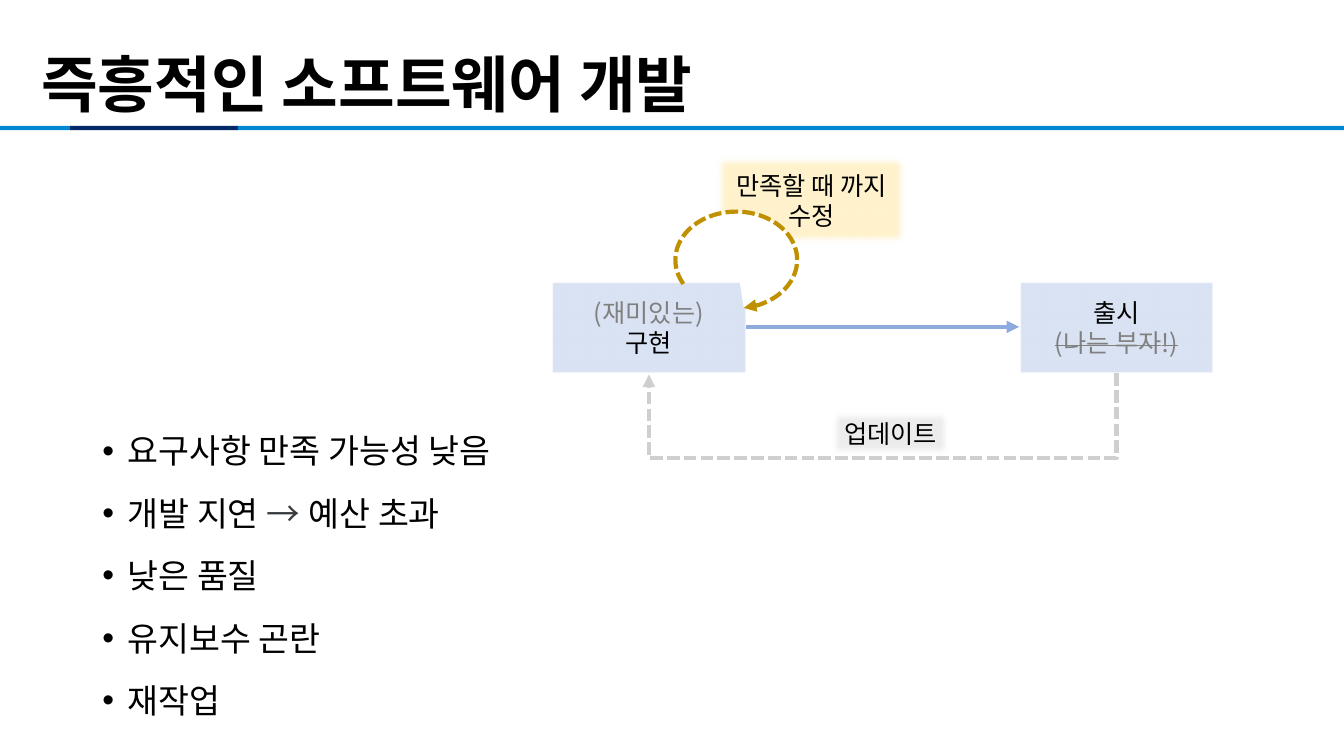
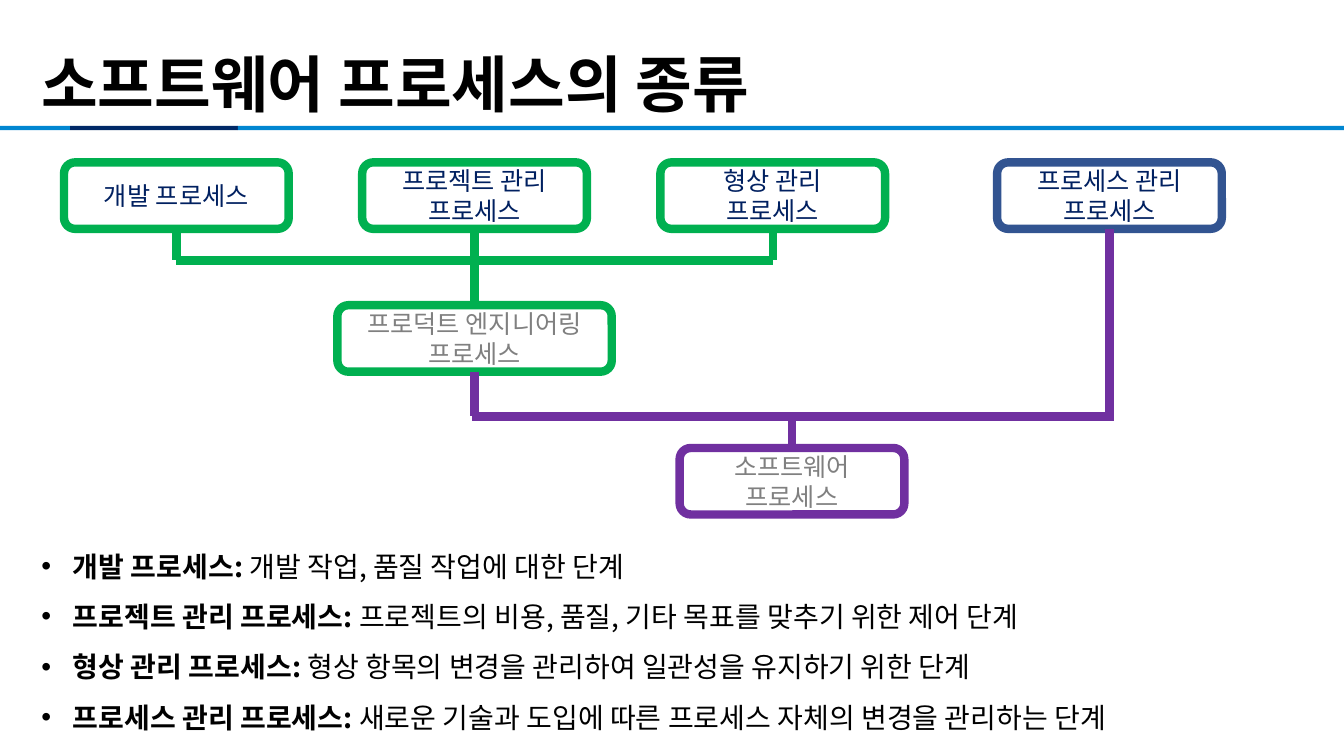
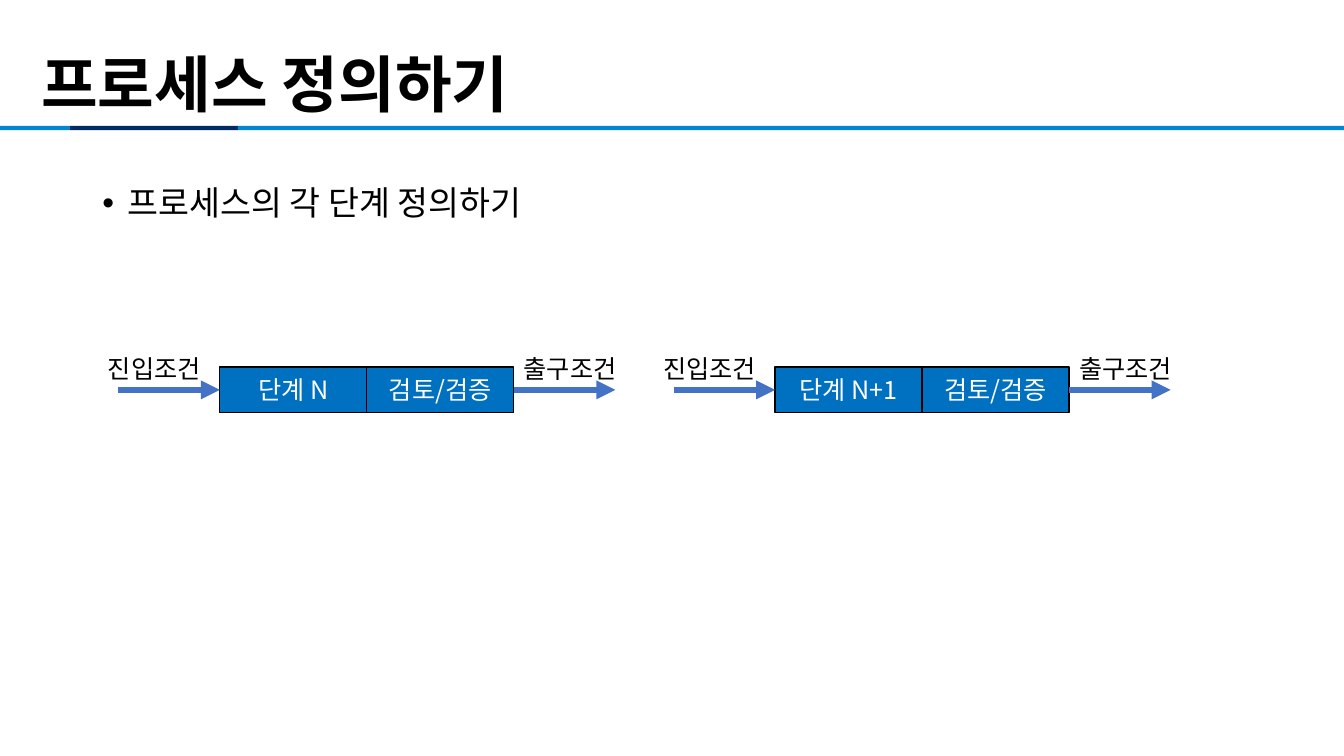
from dataclasses import dataclass

from lxml import etree
from pptx import Presentation
from pptx.dml.color import RGBColor
from pptx.enum import dml, shapes, text
from pptx.oxml import ns
from pptx.util import Pt


@dataclass(frozen=True)
class Theme:
    font: str = "Noto Sans CJK KR"
    sign: str = "Open Sans"
    head: int = 44
    list: int = 24
    note: int = 20
    label: int = 18
    black: str = "000000"
    white: str = "FFFFFF"
    gray: str = "808080"
    slate: str = "373A3C"
    sky: str = "0186D1"
    navy: str = "002967"
    ink: str = "002060"
    pale: str = "DAE3F3"
    steel: str = "8FAADC"
    cream: str = "FFF2CC"
    gold: str = "BF9000"
    mist: str = "EDEDED"
    ash: str = "D0CECE"
    green: str = "00B050"
    blue: str = "325491"
    plum: str = "7030A0"
    step: str = "0070C0"
    arrow: str = "4472C4"


T = Theme()
KIND = shapes.MSO_SHAPE
JOIN = shapes.MSO_CONNECTOR
DASH = dml.MSO_LINE.SQUARE_DOT
MID = text.PP_ALIGN.CENTER

# Text is a list of paragraphs; a paragraph is a list of (text, style) runs.
BAND = [(0, 50, T.sky), (50, 120, T.navy), (170, 790, T.sky)]

RISKS = [
    [("요구사항 만족 가능성 낮음", {})],
    [("개발 지연 ", {}), ("→ ", {"font": T.sign, "color": T.slate}), ("예산 초과", {})],
    [("낮은 품질", {})],
    [("유지보수 곤란", {})],
    [("재작업", {})],
]
BUILD = [[("(재미있는)\n", {"color": T.gray}), ("구현", {})]]
SHIP = [[("출시", {})], [("(나는 부자!)", {"color": T.gray, "strike": True})]]

TOP_ROW = [
    ("개발 프로세스", 126, T.green),
    ("프로젝트 관리\n프로세스", 339, T.green),
    ("형상 관리\n프로세스", 552, T.green),
    ("프로세스 관리\n프로세스", 792.5, T.blue),
]
TERMS = [
    ("개발 프로세스: ", "개발 작업, 품질 작업에 대한 단계"),
    ("프로젝트 관리 프로세스: ", "프로젝트의 비용, 품질, 기타 목표를 맞추기 위한 제어 단계"),
    ("형상 관리 프로세스: ", "형상 항목의 변경을 관리하여 일관성을 유지하기 위한 단계"),
    ("프로세스 관리 프로세스: ", "새로운 기술과 도입에 따른 프로세스 자체의 변경을 관리하는 단계"),
]

STAGES = ["단계 N", "단계 N+1"]
CHECK, ENTRY, EXIT = "검토/검증", "진입조건", "출구조건"


def rgb(code):
    return RGBColor.from_string(code)


def tag(parent, kind, /, **attrs):
    return etree.SubElement(parent, ns.qn(kind), attrs)


def plain(words):
    return [[(words, {})]]


def write(frame, paras, size=T.label, color=T.black, bold=False, align=None,
          lead=None, before=None, hang=None):
    """Fill a text frame run by run; a newline in a run is a line break."""
    for i, runs in enumerate(paras):
        para = frame.paragraphs[0] if i == 0 else frame.add_paragraph()
        para.alignment = align
        if lead:
            para.line_spacing = lead
        if before is not None:
            para.space_before = Pt(before)
        if hang:
            props = para._p.get_or_add_pPr()
            props.set("marL", str(Pt(hang)))
            props.set("indent", str(-Pt(hang)))
            tag(props, "a:buChar", char="•")
        for words, style in runs:
            for n, part in enumerate(words.split("\n")):
                if n:
                    para.add_line_break()
                if not part:
                    continue
                run = para.add_run()
                run.text = part
                face = style.get("font", T.font)
                font = run.font
                font.name, font.size = face, Pt(size)
                font.bold = style.get("bold", bold)
                font.color.rgb = rgb(style.get("color", color))
                props = run._r.get_or_add_rPr()
                tag(props, "a:ea", typeface=face)
                if style.get("strike"):
                    props.set("strike", "sngStrike")


def place(item, x, y, w, h):
    item.left, item.top, item.width, item.height = Pt(x), Pt(y), Pt(w), Pt(h)


def stroke(line, color, width, dash=False, head=False):
    line.color.rgb = rgb(color)
    line.width = Pt(width)
    if dash:
        line.dash_style = DASH
    if head:
        tag(line._get_or_add_ln(), "a:tailEnd", type="triangle")


def block(slide, x, y, w, h, paras=(), fill=None, edge=None, width=1,
          kind=KIND.RECTANGLE, color=T.black, soft=0, dash=False, head=False):
    item = slide.shapes.add_shape(kind, Pt(x), Pt(y), Pt(w), Pt(h))
    item.shadow.inherit = False
    if fill:
        item.fill.solid()
        item.fill.fore_color.rgb = rgb(fill)
    else:
        item.fill.background()
    if edge:
        stroke(item.line, edge, width, dash, head)
    else:
        item.line.fill.background()
    if soft:
        effect = item._element.spPr.find(ns.qn("a:effectLst"))
        tag(effect, "a:softEdge", rad=str(Pt(soft)))
    item.text_frame.vertical_anchor = text.MSO_ANCHOR.MIDDLE
    write(item.text_frame, paras, color=color, align=MID)
    return item


def link(slide, x1, y1, x2, y2, color, width, dash=False, head=False,
         kind=JOIN.STRAIGHT):
    item = slide.shapes.add_connector(kind, Pt(x1), Pt(y1), Pt(x2), Pt(y2))
    stroke(item.line, color, width, dash, head)
    tag(item._element.spPr, "a:effectLst")
    return item


def loop(slide, x1, x2, y, drop, color):
    """Dashed U-shaped arrow from x1 back to x2, hanging below y."""
    mid, half = (x1 + x2) / 2, (x1 - x2) / 2
    item = link(slide, mid - 0.5, y - half, mid + 0.5, y + half, color, 3,
                dash=True, head=True, kind=JOIN.ELBOW)
    props = item._element.spPr
    props.find(ns.qn("a:xfrm")).set("rot", "5400000")
    geom = props.find(ns.qn("a:prstGeom"))
    guides = geom.find(ns.qn("a:avLst"))
    if guides is None:
        guides = tag(geom, "a:avLst")
    tag(guides, "a:gd", name="adj1", fmla=f"val {drop * 100000}")


def band(deck, slide):
    """Draw the title band once and move it to the slide master."""
    tree = deck.slide_master.shapes.element
    for i, (x, w, color) in enumerate(BAND):
        bar = block(slide, x, 90, w, 3, fill=color)
        bar._element.nvSpPr.cNvPr.set("id", str(100 + i))
        tree.append(bar._element)


def start(deck, title, paras, spot, **style):
    """Add a slide with its title and its bulleted list."""
    slide = deck.slides.add_slide(deck.slide_layouts[1])
    head, body = slide.shapes.title, slide.placeholders[1]
    place(head, 22.3, 29, 911, 61)
    place(body, *spot)
    for item, anchor in ((head, text.MSO_ANCHOR.BOTTOM), (body, text.MSO_ANCHOR.TOP)):
        frame = item.text_frame
        frame.word_wrap = True
        frame.auto_size = text.MSO_AUTO_SIZE.NONE
        frame.vertical_anchor = anchor
    write(head.text_frame, plain(title), T.head, bold=True,
          align=text.PP_ALIGN.LEFT, lead=0.9, before=0)
    write(body.text_frame, paras, align=text.PP_ALIGN.LEFT, **style)
    return slide


def adhoc(deck):
    slide = start(deck, "즉흥적인 소프트웨어 개발", RISKS, (66, 298, 868, 224),
                  size=T.list, lead=1.2, before=10, hang=18)
    left, right, top, w, h = 394, 728, 201, 139, 66
    for x, paras in ((left, BUILD), (right, SHIP)):
        block(slide, x, top, w, h, paras, T.pale, soft=1)
    link(slide, left + w, 233.5, right, 233.5, T.steel, 3, head=True)
    block(slide, 510, 110, w, h, plain("만족할 때 까지\n수정"), T.cream, soft=5)
    arc = block(slide, 482.4, 151.2, 87, 69, fill=T.white, edge=T.gold, width=3,
                kind=KIND.ARC, dash=True, head=True)
    arc.adjustments[0], arc.adjustments[1] = 93.37, 48.64
    loop(slide, right + w / 2, left + w / 2, top + h, 61, T.ash)
    block(slide, 592, 291.6, 88.6, 36, plain("업데이트"), T.mist, soft=5)
    return slide


def kinds(deck):
    paras = [[(term, {"bold": True}), (sense, {})] for term, sense in TERMS]
    slide = start(deck, "소프트웨어 프로세스의 종류", paras, (22.3, 376.6, 901, 147),
                  size=T.note, lead=1.5, before=0, hang=22.5)
    tall, top, step = 47.5, 116, 102
    mid, low = top + step, top + 2 * step
    bus, base = 186, 297.5
    spots = [x for _, x, _ in TOP_ROW]
    last, hub = spots[-1], spots[1]
    goal = (hub + last) / 2

    boxes = [(words, x, top, 160.5, edge, T.ink) for words, x, edge in TOP_ROW]
    boxes += [
        ("프로덕트 엔지니어링 프로세스", hub, mid, 196, T.green, T.gray),
        ("소프트웨어\n프로세스", goal, low, 160.5, T.plum, T.gray),
    ]
    for words, x, y, w, edge, color in boxes:
        block(slide, x - w / 2, y, w, tall, plain(words), edge=edge, width=6,
              kind=KIND.ROUNDED_RECTANGLE, color=color)

    wires = [(x, top + tall, x, bus, T.green) for x in spots[:3]]
    wires += [
        (spots[0], bus, spots[2], bus, T.green),
        (hub, bus, hub, mid, T.green),
        (hub - 2, base, last + 3.5, base, T.plum),
        (hub, mid + tall, hub, base, T.plum),
        (last, top + tall, last, base, T.plum),
        (goal, base, goal, low, T.plum),
    ]
    for wire in wires:
        link(slide, *wire, 6)


def define(deck):
    slide = start(deck, "프로세스 정의하기", plain("프로세스의 각 단계 정의하기"),
                  (66, 118, 868, 73.5), size=T.list, lead=1.3, before=10, hang=18)
    w, h, top, run, wide = 105, 32.5, 262, 72.5, 87
    for i, stage in enumerate(STAGES):
        x = 157 + 396.7 * i
        end = x + 2 * w
        for n, words in enumerate((stage, CHECK)):
            block(slide, x + n * w, top, w, h, plain(words), T.step, T.black,
                  color=T.white)
        for tail, spot, words in ((x - run, x - wide, ENTRY), (end, end, EXIT)):
            link(slide, tail, 278.5, tail + run, 278.5, T.arrow, 4.5, head=True)
            note = slide.shapes.add_textbox(Pt(spot), Pt(249), Pt(wide), Pt(29))
            note.text_frame.word_wrap = True
            write(note.text_frame, plain(words))


def main():
    deck = Presentation()
    deck.slide_width, deck.slide_height = Pt(960), Pt(540)
    band(deck, adhoc(deck))
    kinds(deck)
    define(deck)
    deck.save("out.pptx")


if __name__ == "__main__":
    main()
